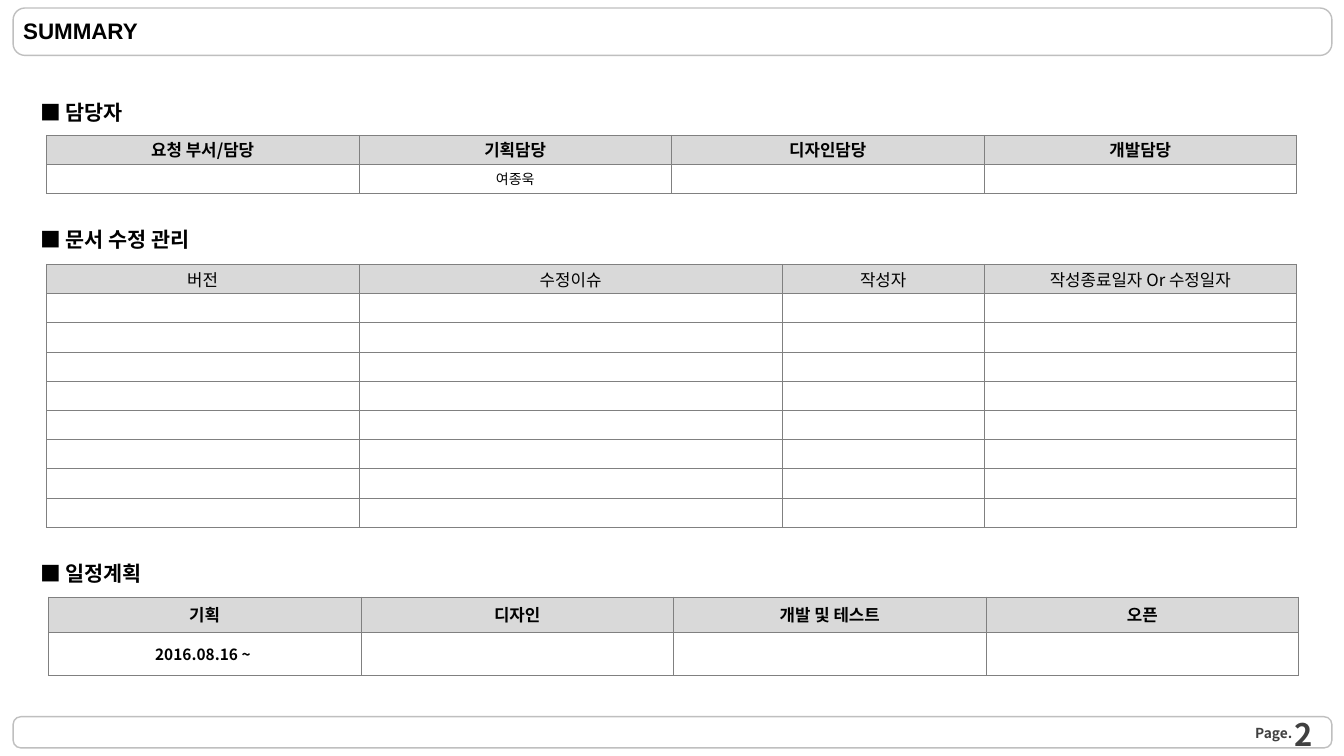
from pptx import Presentation
from pptx.dml.color import RGBColor
from pptx.enum.shapes import MSO_SHAPE
from pptx.enum.text import MSO_ANCHOR, MSO_AUTO_SIZE, PP_ALIGN
from pptx.oxml import parse_xml
from pptx.oxml.ns import nsdecls
from pptx.util import Inches, Pt

BLACK = RGBColor(0x00, 0x00, 0x00)
DARK = RGBColor(0x40, 0x40, 0x40)
FRAME = RGBColor(0xBF, 0xBF, 0xBF)
HEAD = RGBColor(0xD9, 0xD9, 0xD9)
WHITE = RGBColor(0xFF, 0xFF, 0xFF)
GRID = "808080"
SANS = "Noto Sans CJK KR"


class Page:
    def __init__(self, slide):
        self.slide = slide
        self.shapes = slide.shapes

    def run(self, para, text, size, bold=True, color=BLACK, face=SANS):
        run = para.add_run()
        run.text = text
        font = run.font
        font.size, font.bold, font.name = Pt(size), bold, face
        font.color.rgb = color
        font._element.append(parse_xml(
            f'<a:ea {nsdecls("a")} typeface="{face}"/>'))

    def frame(self, box, pad, anchor):
        frame = box.text_frame
        frame.word_wrap = True
        frame.auto_size = MSO_AUTO_SIZE.NONE
        frame.vertical_anchor = anchor
        frame.margin_left = frame.margin_right = Inches(pad[0])
        frame.margin_top = frame.margin_bottom = Inches(pad[1])
        return frame.paragraphs[0]

    def title(self, text, area):
        box = self.shapes.title
        box.left, box.top, box.width, box.height = map(Inches, area)
        para = self.frame(box, (0.1, 0.05), MSO_ANCHOR.MIDDLE)
        para.alignment = PP_ALIGN.LEFT
        self.run(para, text, 16, face="Arial")

    def text(self, text, area, size, pad=(0, 0), color=BLACK,
             align=PP_ALIGN.LEFT, anchor=MSO_ANCHOR.MIDDLE):
        box = self.shapes.add_textbox(*map(Inches, area))
        para = self.frame(box, pad, anchor)
        para.alignment = align
        self.run(para, text, size, color=color)

    def label(self, text, top):
        self.text("■ " + text, (0.27, top, 3, 0.38), 14.8,
                  pad=(0.13, 0.07), anchor=MSO_ANCHOR.TOP)

    def bar(self, top, height):
        bar = self.shapes.add_shape(
            MSO_SHAPE.ROUNDED_RECTANGLE,
            *map(Inches, (0.13, top, 13.08, height)))
        bar.adjustments[0] = 0.25
        bar.shadow.inherit = False
        bar.fill.background()
        bar.line.color.rgb = FRAME
        bar.line.width = Pt(1)

    def edge(self, cell):
        props = cell._tc.get_or_add_tcPr()
        for i, side in enumerate(("lnL", "lnR", "lnT", "lnB")):
            props.insert(i, parse_xml(
                f'<a:{side} {nsdecls("a")} w="{Pt(0.25)}"><a:solidFill>'
                f'<a:srgbClr val="{GRID}"/></a:solidFill></a:{side}>'))

    def table(self, left, top, cols, rows, names, notes,
              bold=True, pad=(0.02, 0.02)):
        """Notes map (row, column) to (text, size, bold)."""
        cells = {(0, c): (name, 12, bold) for c, name in enumerate(names)}
        cells.update(notes)
        grid = self.shapes.add_table(
            len(rows), len(cols), Inches(left), Inches(top),
            Inches(sum(cols)), Inches(sum(rows))).table
        grid.first_row = grid.horz_banding = False
        for col, width in zip(grid.columns, cols):
            col.width = Inches(width)
        for r, height in enumerate(rows):
            grid.rows[r].height = Inches(height)
            for c in range(len(cols)):
                cell = grid.cell(r, c)
                cell.fill.solid()
                cell.fill.fore_color.rgb = WHITE if r else HEAD
                cell.vertical_anchor = MSO_ANCHOR.MIDDLE
                cell.margin_left = cell.margin_right = Inches(pad[0])
                cell.margin_top = cell.margin_bottom = Inches(pad[1])
                self.edge(cell)
                para = cell.text_frame.paragraphs[0]
                para.alignment = PP_ALIGN.CENTER
                if (r, c) in cells:
                    self.run(para, *cells[r, c])
                else:  # keep empty rows low
                    para._p.get_or_add_endParaRPr().set("sz", "1000")


deck = Presentation()
deck.slide_width, deck.slide_height = Inches(13.33), Inches(7.5)
page = Page(deck.slides.add_slide(deck.slide_layouts[5]))

# Header and footer
page.bar(0.08, 0.47)
page.bar(7.11, 0.31)
page.title("SUMMARY", (0.13, 0.01, 13.08, 0.58))
page.text("Page.", (12.45, 7.19, 0.56, 0.17), 9.8, color=DARK)
page.text("2", (10.01, 7.2, 3.11, 0.16), 22.1, pad=(0.1, 0.05),
          color=DARK, align=PP_ALIGN.RIGHT)

# People in charge
even = [3.1] * 4
page.label("담당자", 0.92)
page.table(0.46, 1.34, even, [0.29] * 2,
           ["요청 부서/담당", "기획담당", "디자인담당", "개발담당"],
           {(1, 1): ("여종욱", 10, False)})

# Revision log
page.label("문서 수정 관리", 2.18)
page.table(0.46, 2.62, [3.1, 4.2, 2, 3.1], [0.29] * 9,
           ["버전", "수정이슈", "작성자", "작성종료일자 Or 수정일자"],
           {}, bold=False)

# Schedule
page.label("일정계획", 5.49)
page.table(0.48, 5.92, even, [0.35, 0.43],
           ["기획", "디자인", "개발 및 테스트", "오픈"],
           {(1, 0): ("2016.08.16 ~ ", 11, True)}, pad=(0.1, 0.05))

deck.save("out.pptx")
